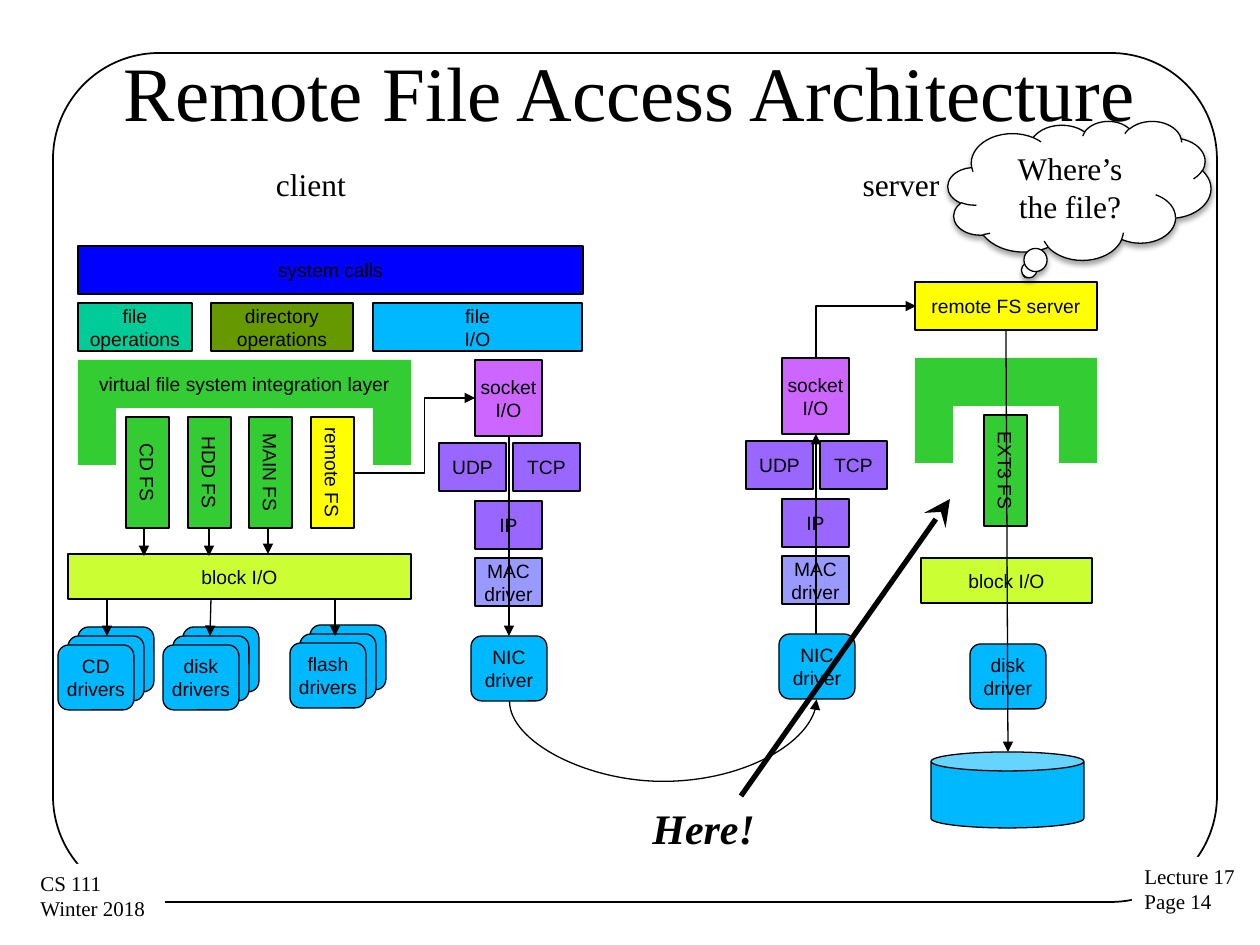
"""Builds the Remote File Access Architecture slide."""
import pptx
import pptx.util
import pptx.dml.color
import pptx.enum.shapes
import pptx.enum.text
import pptx.oxml
import pptx.oxml.ns

PX = 914400 / 126
COLORS = {
    "black": "000000", "white": "FFFFFF", "blue": "0000FF", "sky": "00B8FF",
    "teal": "00CC99", "olive": "669900", "green": "33CC33", "yellow": "FFFF00",
    "lime": "CCFF33", "orchid": "CC66FF", "purple": "9966FF", "lavender": "9999FF",
}
SERIF, SANS = "Times New Roman", "Arial"
KIND = pptx.enum.shapes.MSO_SHAPE
LINK = pptx.enum.shapes.MSO_CONNECTOR
ALIGN = pptx.enum.text.PP_ALIGN
ANCHOR = pptx.enum.text.MSO_ANCHOR

TITLE = ("Remote File Access Architecture", (49, 38, 1162, 105))
FOOTERS = [
    ("Lecture 17\nPage 14", (1132, 857, 115, 64)),
    ("CS 111\nWinter 2018", (28, 864, 137, 64)),
]
HEADINGS = [("client", (192, 159, 238, 49)), ("server", (782, 159, 238, 49))]
LAYERS = [
    ("system calls", "blue", (78, 246, 505, 48)),
    ("file\noperations", "teal", (78, 303, 114, 48)),
    ("directory\noperations", "olive", (211, 303, 142, 48)),
    ("file\nI/O", "sky", (373, 303, 209, 48)),
    ("block I/O", "lime", (68, 554, 343, 45)),
    ("remote FS server", "yellow", (915, 282, 182, 48)),
    ("block I/O", "lime", (921, 558, 171, 45)),
]
BRIDGES = [
    ("virtual file system integration layer", (78, 360, 333)),
    ("", (915, 358, 182)),
]
FILE_SYSTEMS = [
    ("CD FS", "green", 92, 451), ("HDD FS", "green", 154, 451),
    ("MAIN FS", "green", 215, 451), ("remote FS", "yellow", 277, 451),
    ("EXT3 FS", "green", 950, 449),
]
NETWORK_ORIGINS = [(475, 360), (782, 358)]
NETWORK = [
    ("socket\nI/O", "orchid", (0, 0, 67, 76)),
    ("UDP", "purple", (-36, 83, 67, 48)),
    ("TCP", "purple", (38, 83, 67, 48)),
    ("IP", "purple", (0, 141, 67, 48)),
    ("MAC\ndriver", "lavender", (0, 198, 67, 48)),
]
DRIVER_STACKS = [("CD\ndrivers", 58, 645), ("disk\ndrivers", 163, 645),
                 ("flash\ndrivers", 290, 643)]
DRIVERS = [("NIC\ndriver", 471, 636), ("NIC\ndriver", 779, 634), ("disk\ndriver", 970, 644)]
DRIVER_SIZE = (76, 65)
STACK_OFFSETS = [(20, -18), (10, -9), (0, 0)]
ARROWS = [
    (144, 528, 144, 556), (209, 528, 209, 556), (268, 527, 268, 554),
    (107, 599, 107, 636), (211, 599, 210, 636), (335, 598, 335, 636),
    (509, 436, 509, 636), (816, 634, 816, 434), (1006, 330, 1008, 752),
]
ROUTES = [
    ("bentConnector3", (354, 473, 475, 398), 0, 58400),
    ("bentConnector2", (840, 282, 892, 382), 270, None),
    ("curvedConnector3", (664, 854, 662, 547), 90, -4032000),
]

deck = pptx.Presentation()
deck.slide_width, deck.slide_height = pptx.util.Inches(10), pptx.util.Inches(7.5)
slide = deck.slides.add_slide(deck.slide_layouts[5])


def emu(lengths):
    return [round(length * PX) for length in lengths]


def rgb(color):
    return pptx.dml.color.RGBColor.from_string(COLORS[color])


def write(holder, text, size, font, align=ALIGN.CENTER, anchor=ANCHOR.MIDDLE,
          wrap=False, strong=False):
    frame = holder.text_frame
    frame.word_wrap, frame.vertical_anchor = wrap, anchor
    for index, line in enumerate(text.split("\n")):
        paragraph = frame.paragraphs[0] if index == 0 else frame.add_paragraph()
        paragraph.alignment = align
        run = paragraph.add_run()
        run.text = line
        run.font.size, run.font.name = pptx.util.Pt(size), font
        run.font.color.rgb = rgb("black")
        if strong:
            run.font.bold = run.font.italic = True


def block(kind, box, fill=None, line=0.75, text="", rotation=0):
    shape = slide.shapes.add_shape(kind, *emu(box))
    shape.shadow.inherit = False
    shape.rotation = rotation
    if fill:
        shape.fill.solid()
        shape.fill.fore_color.rgb = rgb(fill)
    else:
        shape.fill.background()
    if line:
        shape.line.color.rgb = rgb("black")
        shape.line.width = pptx.util.Pt(line)
    else:
        shape.line.fill.background()
    if text:
        write(shape, text, 11, SANS)
    return shape


def label(text, box, size, **style):
    write(slide.shapes.add_textbox(*emu(box)), text, size, SERIF,
          anchor=ANCHOR.TOP, **style)


def add_xml(parent, body):
    parent.append(pptx.oxml.parse_xml(
        body.replace(" ", f" {pptx.oxml.ns.nsdecls('a')} ", 1)))


def arrow(ends, width=0.75, head="triangle", size="med", link=LINK.STRAIGHT):
    connector = slide.shapes.add_connector(link, *emu(ends))
    connector.line.color.rgb = rgb("black")
    connector.line.width = pptx.util.Pt(width)
    properties = connector._element.spPr
    add_xml(properties.find(pptx.oxml.ns.qn("a:ln")),
            f'<a:tailEnd type="{head}" w="{size}" len="{size}"/>')
    add_xml(properties, "<a:effectLst />")
    return connector


def route(preset, ends, rotation, bend):
    properties = arrow(ends, link=LINK.ELBOW)._element.spPr
    geometry = properties.find(pptx.oxml.ns.qn("a:prstGeom"))
    geometry.set("prst", preset)
    properties.find(pptx.oxml.ns.qn("a:xfrm")).set("rot", str(rotation * 60000))
    if bend is not None:
        add_xml(geometry.find(pptx.oxml.ns.qn("a:avLst")),
                f'<a:gd name="adj1" fmla="val {bend}"/>')


heading = slide.shapes.title
heading.left, heading.top, heading.width, heading.height = emu(TITLE[1])
write(heading, TITLE[0], 44, SERIF, wrap=True)

border = block(KIND.ROUNDED_RECTANGLE, (53, 53, 1164, 849), line=1)
border.adjustments[0] = 0.125
for text, box in FOOTERS:
    footer = block(KIND.RECTANGLE, box, "white", line=0)
    write(footer, text, 12, SERIF, ALIGN.LEFT, ANCHOR.TOP)
for text, box in HEADINGS:
    label(text, box, 18, wrap=True)

for text, fill, box in LAYERS:
    block(KIND.RECTANGLE, box, fill, text=text)
for text, (left, top, width) in BRIDGES:
    block(KIND.RECTANGLE, (left, top, width, 48), "green", 0, text)
    for leg in (left, left + width - 38):
        block(KIND.RECTANGLE, (leg, top + 48, 38, 57), "green", 0)
for text, fill, left, top in FILE_SYSTEMS:
    block(KIND.RECTANGLE, (left, top, 111, 43), fill, text=text, rotation=90)
for left, top in NETWORK_ORIGINS:
    for text, fill, (dx, dy, width, height) in NETWORK:
        block(KIND.RECTANGLE, (left + dx, top + dy, width, height), fill, text=text)
for text, left, top in DRIVER_STACKS:
    for dx, dy in STACK_OFFSETS:
        block(KIND.ROUNDED_RECTANGLE, (left + dx, top + dy, *DRIVER_SIZE), "sky",
              text="" if dx else text)
for text, left, top in DRIVERS:
    block(KIND.ROUNDED_RECTANGLE, (left, top, *DRIVER_SIZE), "sky", text=text)
block(KIND.CAN, (931, 752, 153, 76), "sky")

for ends in ARROWS:
    arrow(ends)
for connection in ROUTES:
    route(*connection)

cloud = block(KIND.CLOUD_CALLOUT, (948, 121, 263, 139), "white")
cloud.adjustments[0], cloud.adjustments[1] = -0.2, 0.6
write(cloud, "Where’s the file?", 18, SERIF, wrap=True)
add_xml(cloud._element.spPr.find(pptx.oxml.ns.qn("a:effectLst")),
        '<a:outerShdw blurRad="39370" dist="22860" dir="5400000" rotWithShape="0">'
        f'<a:srgbClr val="{COLORS["black"]}"><a:alpha val="35000"/></a:srgbClr>'
        '</a:outerShdw>')
arrow((741, 796, 950, 499), 3, "stealth", "lg")
label("Here!", (640, 796, 128, 63), 24, align=ALIGN.LEFT, strong=True)

deck.save("out.pptx")
